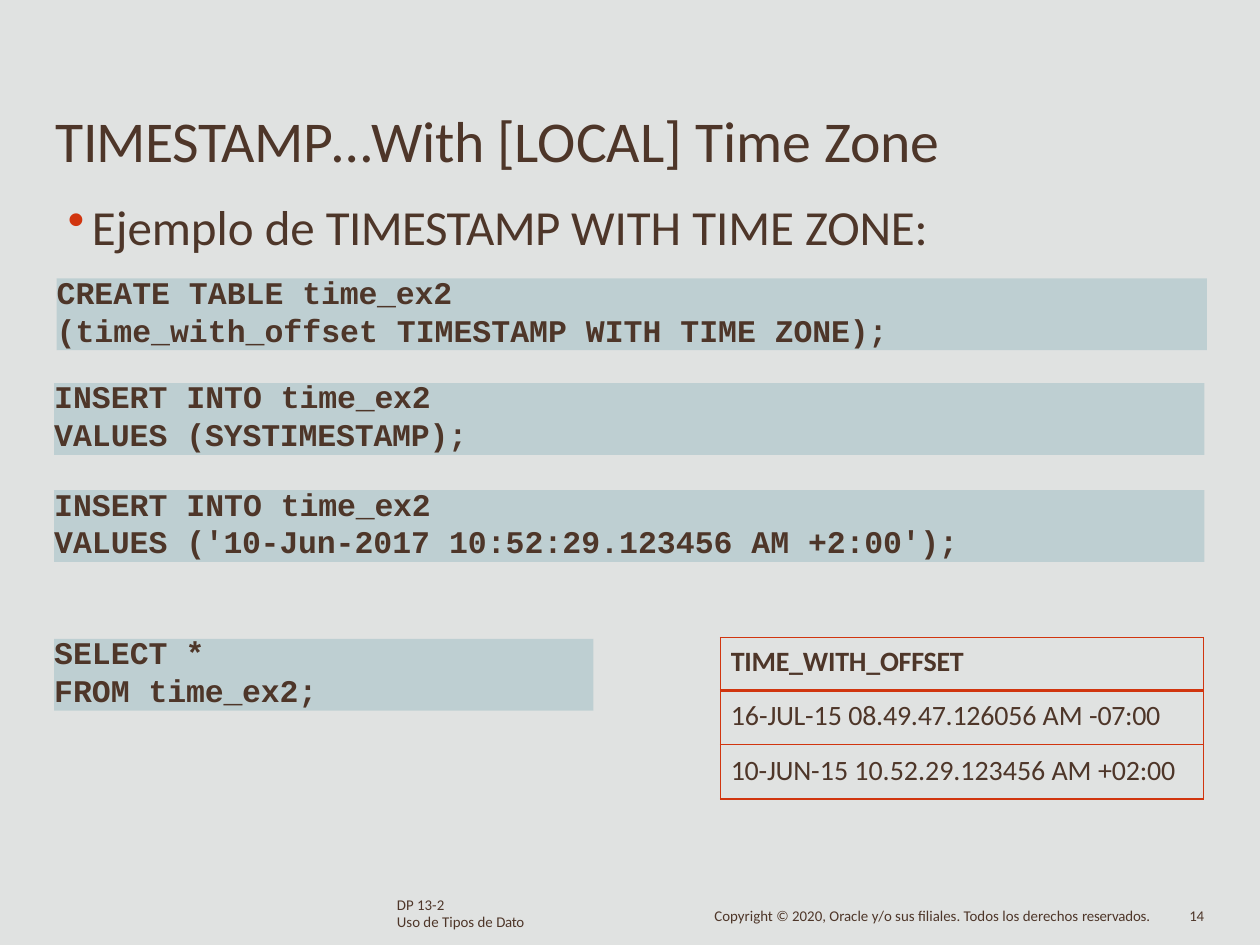
from dataclasses import dataclass

from lxml import etree
from pptx import Presentation
from pptx.dml.color import RGBColor
from pptx.enum import shapes
from pptx.oxml.ns import qn
from pptx.util import Emu, Inches, Pt


@dataclass(frozen=True)
class Theme:
    """Colours, fonts and type sizes of the slide."""
    back: str = "E0E2E1"
    ink: str = "4E3629"
    accent: str = "D1350F"
    code_fill: str = "9DBEC4"
    body: str = "Calibri"
    mono: str = "Courier New"
    title: float = 33
    bullet: float = 28
    code: float = 18
    cell: float = 16
    footer: float = 8.5


T = Theme()


def add_runs(p, runs, size, font=T.body, bold=False):
    """Add (text, letter spacing in points) runs to a paragraph."""
    for words, spacing in runs:
        r = p.add_run()
        r.text = words
        r.font.size = Pt(size)
        r.font.name = font
        r.font.bold = bold
        r.font.color.rgb = RGBColor.from_string(T.ink)
        r._r.get_or_add_rPr().set("spc", str(round(spacing * 100)))


def set_insets(frame, top=0.0, left=0.0):
    """Set the insets of a text frame or table cell."""
    frame.margin_left, frame.margin_top = Inches(left), Inches(top)
    frame.margin_right = frame.margin_bottom = 0
    frame.word_wrap = True


def add_text(s, box, lines, size, top=0.0, left=0.01, pitches=()):
    """Add a text box with one paragraph per line and return its frame."""
    tf = s.shapes.add_textbox(*map(Inches, box)).text_frame
    set_insets(tf, top, left)
    for i, runs in enumerate(lines):
        p = tf.add_paragraph() if i else tf.paragraphs[0]
        if pitches:
            p.line_spacing = Pt(pitches[i])
        add_runs(p, runs, size)
    return tf


def add_heading(s, box):
    """Add the slide title."""
    runs = [("TIMESTAMP…With ", -0.3), ("[LOCAL] Time ", 0), ("Zone", -0.2)]
    add_text(s, box, [runs], T.title, top=0.01)


def add_bullet(s, box):
    """Add the bulleted lead line."""
    tf = add_text(s, box, [[]], T.bullet, top=0.01, left=0)
    p = tf.paragraphs[0]
    pPr = p._p.get_or_add_pPr()
    pPr.set("marL", str(Inches(0.2)))
    pPr.set("indent", str(Inches(-0.19)))
    color = etree.SubElement(pPr, qn("a:buClr"))
    etree.SubElement(color, qn("a:srgbClr"), val=T.accent)
    etree.SubElement(pPr, qn("a:buChar"), char="•")
    tabs = etree.SubElement(pPr, qn("a:tabLst"))
    etree.SubElement(tabs, qn("a:tab"), pos=str(Inches(0.2)), algn="l")
    add_runs(p, [("Ejemplo de ", 0), ("TIMESTAMP ", -0.3),
                 ("WITH TIME ", 0), ("ZONE:", -0.1)], T.bullet)


def add_code(s, box, lines):
    """Add a half-transparent panel of SQL code."""
    sp = s.shapes.add_shape(shapes.MSO_SHAPE.RECTANGLE, *map(Inches, box))
    sp.shadow.inherit = False
    sp.line.fill.background()
    sp.fill.solid()
    sp.fill.fore_color.rgb = RGBColor.from_string(T.code_fill)
    color = sp._element.spPr.find(".//" + qn("a:srgbClr"))
    etree.SubElement(color, qn("a:alpha"), val="50000")
    tf = sp.text_frame
    set_insets(tf)
    tf.vertical_anchor = 1
    for i, runs in enumerate(lines):
        p = tf.add_paragraph() if i else tf.paragraphs[0]
        p.alignment = 1
        if i == 0:
            p.line_spacing = Pt(18.4)
        add_runs(p, runs, T.code, T.mono, bold=True)


def add_borders(cell, top, bottom):
    """Draw the four accent borders of a cell, widths in points."""
    tcPr = cell._tc.get_or_add_tcPr()
    widths = {"lnL": 1, "lnR": 1, "lnT": top, "lnB": bottom}
    for i, (side, width) in enumerate(widths.items()):
        ln = etree.Element(qn("a:" + side), w=str(Pt(width)))
        fill = etree.SubElement(ln, qn("a:solidFill"))
        etree.SubElement(fill, qn("a:srgbClr"), val=T.accent)
        tcPr.insert(i, ln)


def add_result(s, box, rows):
    """Add the query result, with a heavy rule below its header."""
    frame = s.shapes.add_table(len(rows), 1, *map(Inches, box))
    table = frame.table
    table.horz_banding = False
    table.columns[0].width = Inches(box[2])
    for i, runs in enumerate(rows):
        header = i == 0
        table.rows[i].height = Inches(0.42 if header else 0.43)
        cell = table.cell(i, 0)
        cell.fill.background()
        set_insets(cell, 0.06 if header else 0.07, 0.08)
        add_borders(cell, 2.25 if i == 1 else 1, 2.25 if header else 1)
        add_runs(cell.text_frame.paragraphs[0], runs, T.cell, bold=header)


def add_footer(s, box):
    """Add the lesson reference, copyright line and page number."""
    x, y = box[:2]
    add_text(s, (x, y, 1.05, 0.27),
             [[("DP 13-", 0), ("2", -0.5)],
              [("Uso de Tipos de ", 0), ("Dato", -0.2)]],
             T.footer, pitches=(8.6, 9.7))
    add_text(s, (x + 2.52, y + 0.08, 3.52, 0.15),
             [[("Copyright © 2020, Oracle y/o sus filiales. "
                "Todos los derechos ", 0), ("reservados.", -0.1)]],
             T.footer, pitches=(9.1,))
    add_text(s, (x + 6.29, y + 0.08, 0.19, 0.15), [[("14", -0.2)]],
             T.footer, pitches=(9.1,))


def main():
    """Build the slide and save it."""
    prs = Presentation()
    prs.slide_width, prs.slide_height = Inches(10), Inches(7.5)
    s = prs.slides.add_slide(prs.slide_layouts[6])
    s.background.fill.solid()
    s.background.fill.fore_color.rgb = RGBColor.from_string(T.back)

    add_heading(s, (0.43, 0.82, 7.12, 0.58))
    add_footer(s, (3.14, 7.13, 6.48, 0.27))
    add_bullet(s, (0.53, 1.55, 6.9, 0.49))
    add_result(s, (5.72, 5.06, 3.83, 1.28), [
        [("TIME_WITH_OFFSET", -0.1)],
        [("16-", 0), ("JUL-", -0.2), ("15 ", 0),
         ("08.49.47.126056 ", -0.1), ("AM -", 0), ("07:00", -0.2)],
        [("10-JUN-", -0.1), ("15 10.52.29.123456 AM ", 0),
         ("+02:00", -0.1)],
    ])

    insert = [("INSERT INTO ", 0), ("time_ex2", -0.1)]
    panels = [
        ((0.45, 2.21, 9.13), [
            [("CREATE TABLE ", 0), ("time_ex2", -0.1)],
            [("(time_with_offset TIMESTAMP WITH TIME ", 0),
             ("ZONE);", -0.1)]]),
        ((0.43, 3.04, 9.13), [
            insert, [("VALUES ", 0), ("(SYSTIMESTAMP);", -0.1)]]),
        ((0.43, 3.89, 9.13), [
            insert,
            [("VALUES ", 0), ("('10-", -0.2), ("Jun-", -0.1),
             ("2017 10:52:29.123456 AM ", 0), ("+2:00');", -0.1)]]),
        ((0.43, 5.07, 4.28), [
            [("SELECT", 0), (" *", -0.5)],
            [("FROM ", 0), ("time_ex2;", -0.1)]]),
    ]
    for place, lines in panels:
        add_code(s, (*place, 0.57), lines)
    prs.save("out.pptx")


if __name__ == "__main__":
    main()
